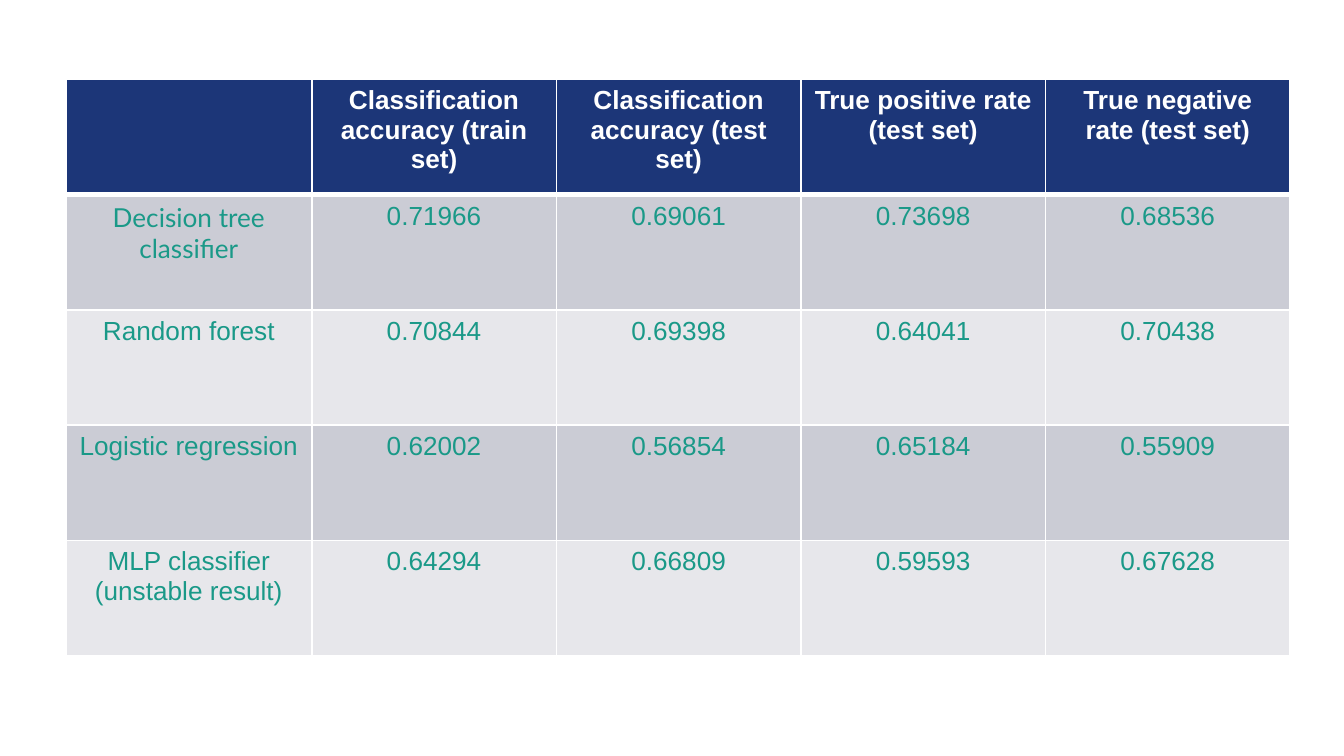
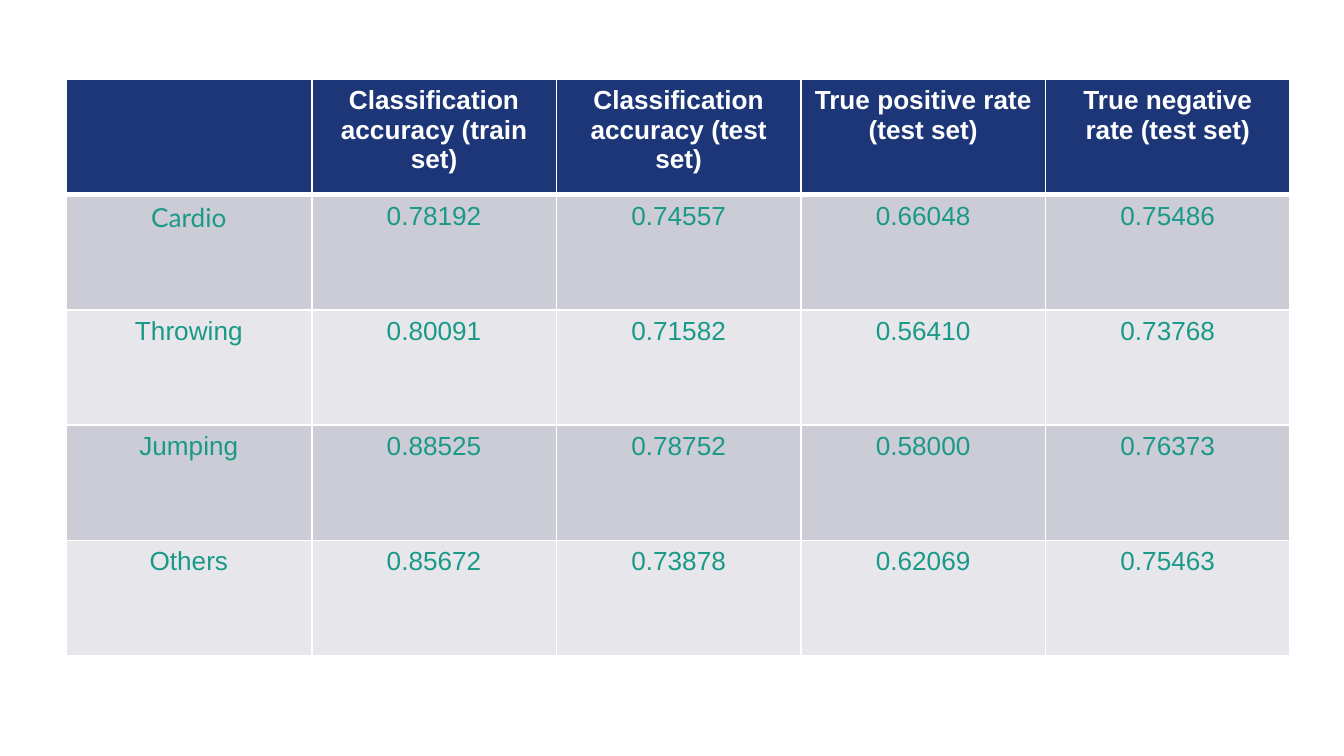
from lxml.etree import SubElement
from pptx import Presentation
from pptx.dml.color import RGBColor
from pptx.enum.text import PP_ALIGN
from pptx.oxml.ns import qn
from pptx.util import Inches, Pt

NAVY = RGBColor(0x1C, 0x36, 0x78)
TEAL = RGBColor(0x1A, 0x99, 0x88)
WHITE = RGBColor(0xFF, 0xFF, 0xFF)
BANDS = [RGBColor(0xE7, 0xE7, 0xEB), RGBColor(0xCB, 0xCC, 0xD5)]
THIN_RULE, HEADER_RULE = Pt(1), Pt(3)

HEADINGS = (
    "",
    "Classification accuracy (train set)",
    "Classification accuracy (test set)",
    "True positive rate (test set)",
    "True negative rate (test set)",
)
MODEL_SCORES = [
    ("Decision tree classifier", "0.71966", "0.69061", "0.73698", "0.68536"),
    ("Random forest", "0.70844", "0.69398", "0.64041", "0.70438"),
    ("Logistic regression", "0.62002", "0.56854", "0.65184", "0.55909"),
    ("MLP classifier\n(unstable result)", "0.64294", "0.66809", "0.59593", "0.67628"),
]
EXERCISE_SCORES = [
    ("Cardio", "0.78192", "0.74557", "0.66048", "0.75486"),
    ("Throwing", "0.80091", "0.71582", "0.56410", "0.73768"),
    ("Jumping", "0.88525", "0.78752", "0.58000", "0.76373"),
    ("Others", "0.85672", "0.73878", "0.62069", "0.75463"),
]


def add_borders(cell, top, bottom):
    """Rule the cell in white; call before filling, as borders precede the fill."""
    properties = cell._tc.get_or_add_tcPr()
    sides = {"L": THIN_RULE, "R": THIN_RULE, "T": top, "B": bottom}
    for side, width in sides.items():
        line = SubElement(properties, qn(f"a:ln{side}"), w=str(width))
        solid = SubElement(line, qn("a:solidFill"))
        SubElement(solid, qn("a:srgbClr"), val=str(WHITE))


prs = Presentation()
prs.slide_width = Inches(10)
prs.slide_height = prs.slide_width * 9 // 16
blank_layout = prs.slide_layouts[6]

for scores in (MODEL_SCORES, EXERCISE_SCORES):
    slide = prs.slides.add_slide(blank_layout)
    rows = [HEADINGS, *scores]
    score_table = slide.shapes.add_table(
        len(rows), len(HEADINGS),
        Inches(0.49), Inches(0.59), Inches(9.1), Inches(4.29),
    ).table
    score_table.columns[0].width = Inches(1.83)

    for r, row in enumerate(rows):
        is_header = r == 0
        for c, text in enumerate(row):
            cell = score_table.cell(r, c)
            add_borders(
                cell,
                top=HEADER_RULE if r == 1 else THIN_RULE,
                bottom=HEADER_RULE if is_header else THIN_RULE,
            )
            cell.fill.solid()
            cell.fill.fore_color.rgb = NAVY if is_header else BANDS[r % 2]
            cell.text = text
            for paragraph in cell.text_frame.paragraphs:
                paragraph.alignment = PP_ALIGN.CENTER
                font = paragraph.font
                font.name = "Lato" if (r, c) == (1, 0) else "Arial"
                font.size = Pt(14)
                font.bold = is_header
                font.color.rgb = WHITE if is_header else TEAL

prs.save("out.pptx")
